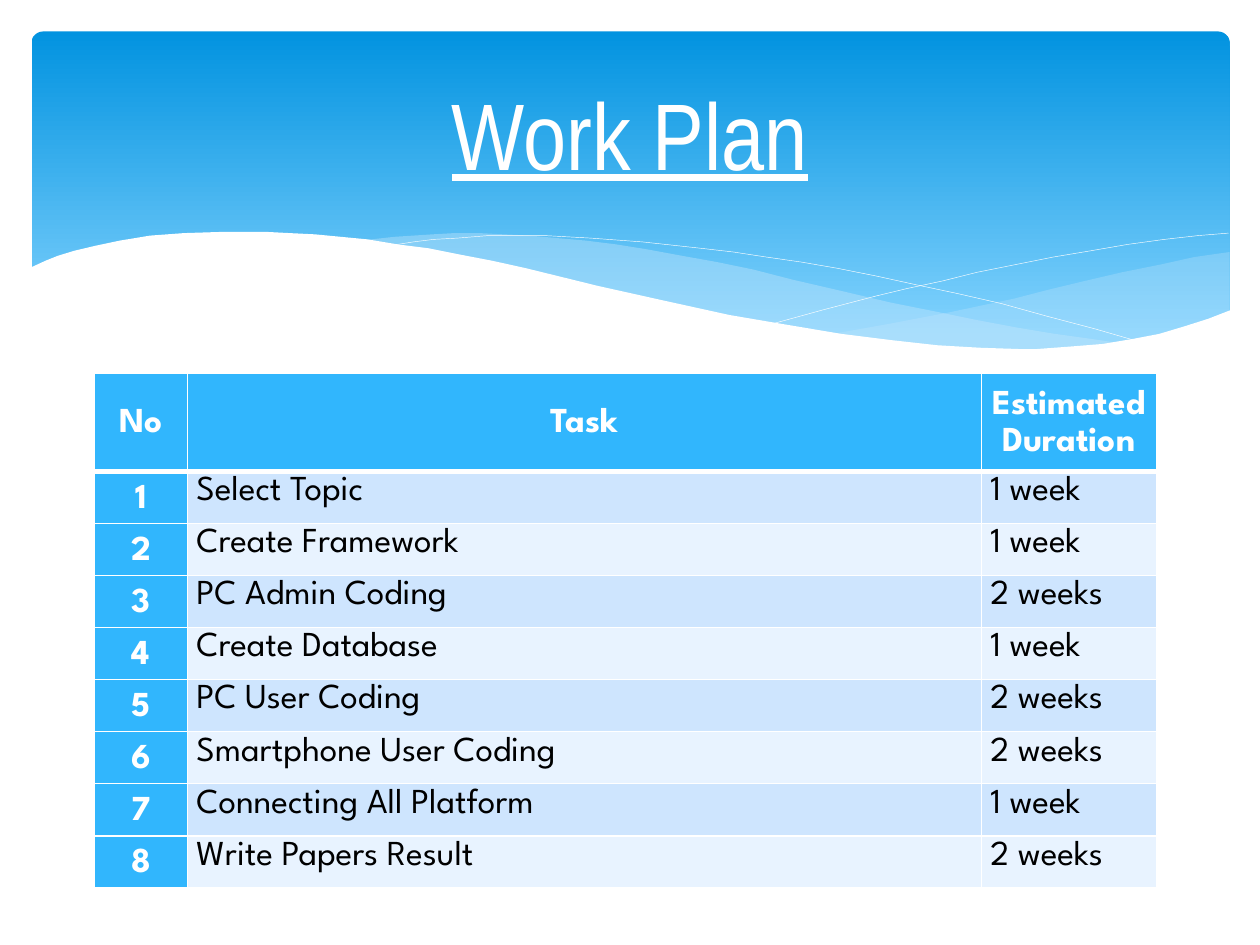
from lxml.etree import SubElement
from pptx import Presentation
from pptx.dml.color import RGBColor
from pptx.enum.shapes import MSO_SHAPE
from pptx.enum.text import MSO_ANCHOR, PP_ALIGN
from pptx.oxml import parse_xml
from pptx.oxml.ns import nsdecls, qn
from pptx.util import Inches, Pt

WHITE = RGBColor(0xFF, 0xFF, 0xFF)
BLACK = RGBColor(0x00, 0x00, 0x00)
BANNER_TOP = RGBColor(0x02, 0x93, 0xE0)
BANNER_BOTTOM = RGBColor(0x83, 0xD3, 0xFE)
MIST = RGBColor(0xC6, 0xE7, 0xFC)
ACCENT = RGBColor(0x31, 0xB6, 0xFD)
BANDS = [RGBColor(0xCE, 0xE5, 0xFE), RGBColor(0xE8, 0xF3, 0xFF)]

RIGHT_WAVE = [
    (9.76, 2), (9.48, 2.04), (9.21, 2.1), (8.91, 2.16), (8.61, 2.23), (8.32, 2.3),
    (8.05, 2.37), (7.53, 2.48), (7.06, 2.57), (6.61, 2.65), (6.91, 2.69), (7.19, 2.72),
    (7.45, 2.75), (7.69, 2.77), (8.03, 2.78), (8.35, 2.77), (8.63, 2.75), (8.89, 2.72),
    (9.13, 2.67), (9.35, 2.62), (9.49, 2.57), (9.63, 2.52), (9.76, 2.47),
]
MIDDLE_WAVE = [
    (8.93, 2.73), (8.66, 2.69), (8.37, 2.65), (8.07, 2.6), (7.75, 2.54), (7.41, 2.47),
    (7.06, 2.4), (6.68, 2.31), (6.29, 2.22), (5.98, 2.14), (5.69, 2.08), (5.41, 2.03),
    (5.14, 1.98), (4.89, 1.94), (4.65, 1.91), (4.42, 1.89), (4.2, 1.87), (3.99, 1.86),
    (3.8, 1.85), (3.61, 1.85), (3.44, 1.86), (3.13, 1.88), (2.86, 1.91), (3.23, 1.96),
    (3.62, 2.03), (4.04, 2.11), (4.49, 2.22), (4.91, 2.32), (5.3, 2.4), (5.66, 2.48),
    (6.01, 2.55), (6.34, 2.61), (6.65, 2.66), (6.95, 2.7), (7.22, 2.74), (7.48, 2.76),
    (7.85, 2.78), (8.28, 2.78), (8.57, 2.77), (8.76, 2.75),
]
FALLING_LINE = [
    (3.09, 1.95), (3.28, 1.92), (3.44, 1.9), (3.63, 1.89), (3.87, 1.87), (4.16, 1.87),
    (4.33, 1.87), (4.69, 1.89), (5.1, 1.92), (5.56, 1.97), (5.82, 2), (6.08, 2.04),
    (6.36, 2.08), (6.65, 2.13), (6.95, 2.19), (7.27, 2.26), (7.6, 2.33), (7.95, 2.41),
    (8.31, 2.51), (8.69, 2.61), (9.07, 2.72),
]
RISING_LINE = [
    (6.13, 2.57), (6.53, 2.46), (6.95, 2.35), (7.2, 2.29), (7.48, 2.23), (7.76, 2.16),
    (8.06, 2.1), (8.36, 2.04), (8.66, 1.99), (8.95, 1.94), (9.24, 1.9), (9.51, 1.87),
    (9.75, 1.85),
]
FRONT_WAVE = [
    (9.77, 2.46), (9.59, 2.53), (9.4, 2.59), (9.2, 2.65), (8.99, 2.69), (8.75, 2.73),
    (8.5, 2.75), (8.23, 2.77), (8.09, 2.77), (7.78, 2.76), (7.44, 2.74), (7.08, 2.7),
    (6.68, 2.65), (6.26, 2.58), (5.79, 2.5), (5.29, 2.39), (4.75, 2.27), (4.18, 2.13),
    (3.91, 2.07), (3.65, 2.02), (3.4, 1.97), (3.16, 1.94), (2.92, 1.9), (2.71, 1.88),
    (2.5, 1.86), (2.3, 1.85), (2.11, 1.84), (1.77, 1.84), (1.46, 1.85), (1.19, 1.87),
    (0.95, 1.91), (0.76, 1.95), (0.59, 1.99), (0.46, 2.03), (0.36, 2.07), (0.23, 2.13),
    (0.23, 3.29), (9.77, 3.29),
]
HEADINGS = ["No", "Task", "Estimated Duration"]
TASKS = [
    ("Select Topic", "1 week"),
    ("Create Framework", "1 week"),
    ("PC Admin Coding", "2 weeks"),
    ("Create Database", "1 week"),
    ("PC User Coding", "2 weeks"),
    ("Smartphone User Coding", "2 weeks"),
    ("Connecting All Platform", "1 week"),
    ("Write Papers Result", "2 weeks"),
]


class SlideBuilder:
    title_font = {"name": "Arial Narrow", "size": Pt(54), "underline": True}
    table_font = {"name": "League Spartan", "size": Pt(20)}
    cell_format = {
        "margin_left": Inches(0.07),
        "margin_right": Inches(0.07),
        "margin_top": 0,
        "margin_bottom": 0,
    }

    def __init__(self, slide):
        self.slide = slide

    def add_text(self, paragraph, text, color, alignment, font_format):
        run = paragraph.add_run()
        run.text = text
        run.font.color.rgb = color
        paragraph.alignment = alignment
        for name, value in font_format.items():
            setattr(run.font, name, value)

    def banner(self, left, top, width, height):
        shape = self.slide.shapes.add_shape(
            MSO_SHAPE.ROUNDED_RECTANGLE,
            Inches(left), Inches(top), Inches(width), Inches(height))
        shape.adjustments[0] = 0.034
        shape.shadow.inherit = False
        shape.line.fill.background()
        shape.fill.gradient()
        shape.fill.gradient_angle = 270
        stops = [(0, BANNER_TOP), (0.9, BANNER_BOTTOM)]
        for stop, (position, color) in zip(shape.fill.gradient_stops, stops):
            stop.position = position
            stop.color.rgb = color

    def outline(self, points, close):
        start, *others = [(Inches(x), Inches(y)) for x, y in points]
        builder = self.slide.shapes.build_freeform(*start)
        builder.add_line_segments(others, close=close)
        shape = builder.convert_to_shape()
        shape.shadow.inherit = False
        return shape

    def wave(self, points, color, opacity=100):
        shape = self.outline(points, True)
        shape.line.fill.background()
        shape.fill.solid()
        shape.fill.fore_color.rgb = color
        if opacity < 100:
            color_element = shape.element.spPr.find(".//" + qn("a:srgbClr"))
            SubElement(color_element, qn("a:alpha"), val=str(opacity * 1000))

    def curve(self, points):
        shape = self.outline(points, False)
        shape.fill.background()
        shape.line.color.rgb = WHITE
        shape.line.width = Pt(0.25)

    def title(self, text, left, top, width, height):
        shape = self.slide.shapes.add_textbox(
            Inches(left), Inches(top), Inches(width), Inches(height))
        frame = shape.text_frame
        frame.word_wrap = True
        frame.vertical_anchor = MSO_ANCHOR.MIDDLE
        self.add_text(frame.paragraphs[0], text, WHITE, PP_ALIGN.CENTER, self.title_font)

    def borders(self, cell, top, bottom):
        properties = cell._tc.get_or_add_tcPr()
        sides = {"lnL": 1, "lnR": 1, "lnT": top, "lnB": bottom}
        for index, (side, width) in enumerate(sides.items()):
            properties.insert(index, parse_xml(
                f'<a:{side} {nsdecls("a")} w="{Pt(width)}"><a:solidFill>'
                f'<a:srgbClr val="{WHITE}"/></a:solidFill></a:{side}>'))

    def cell(self, cell, text, row, column):
        emphasized = row == 0 or column == 0
        for name, value in self.cell_format.items():
            setattr(cell, name, value)
        cell.vertical_anchor = MSO_ANCHOR.MIDDLE if emphasized else MSO_ANCHOR.TOP
        cell.fill.solid()
        cell.fill.fore_color.rgb = ACCENT if emphasized else BANDS[(row - 1) % 2]
        paragraph = cell.text_frame.paragraphs[0]
        paragraph.line_spacing = 1.15
        self.add_text(
            paragraph, text,
            WHITE if emphasized else BLACK,
            PP_ALIGN.CENTER if emphasized else PP_ALIGN.LEFT,
            {**self.table_font, "bold": emphasized})
        self.borders(cell, 3 if row == 1 else 1, 3 if row == 0 else 1)

    def table(self, rows, left, top, height, widths, header_height):
        table = self.slide.shapes.add_table(
            len(rows), len(widths), Inches(left), Inches(top),
            Inches(sum(widths)), Inches(height)).table
        for column, width in zip(table.columns, widths):
            column.width = Inches(width)
        for row in table.rows:
            row.height = Inches((height - header_height) / (len(rows) - 1))
        table.rows[0].height = Inches(header_height)
        for row, texts in enumerate(rows):
            for column, text in enumerate(texts):
                self.cell(table.cell(row, column), text, row, column)


def main():
    presentation = Presentation()
    presentation.slide_width = Inches(10)
    presentation.slide_height = Inches(7.5)
    builder = SlideBuilder(presentation.slides.add_slide(presentation.slide_layouts[6]))
    builder.banner(0.25, 0.25, 9.51, 2.7)
    builder.wave(RIGHT_WAVE, MIST, 29)
    builder.wave(MIDDLE_WAVE, MIST, 40)
    builder.curve(FALLING_LINE)
    builder.curve(RISING_LINE)
    builder.wave(FRONT_WAVE, WHITE)
    builder.title("Work Plan", 0.5, 0.37, 9, 1.37)
    numbered_tasks = [(str(number), *task) for number, task in enumerate(TASKS, 1)]
    builder.table([HEADINGS, *numbered_tasks], 0.75, 2.96, 4.09, [0.74, 6.3, 1.39], 0.78)
    presentation.save("out.pptx")


if __name__ == "__main__":
    main()
